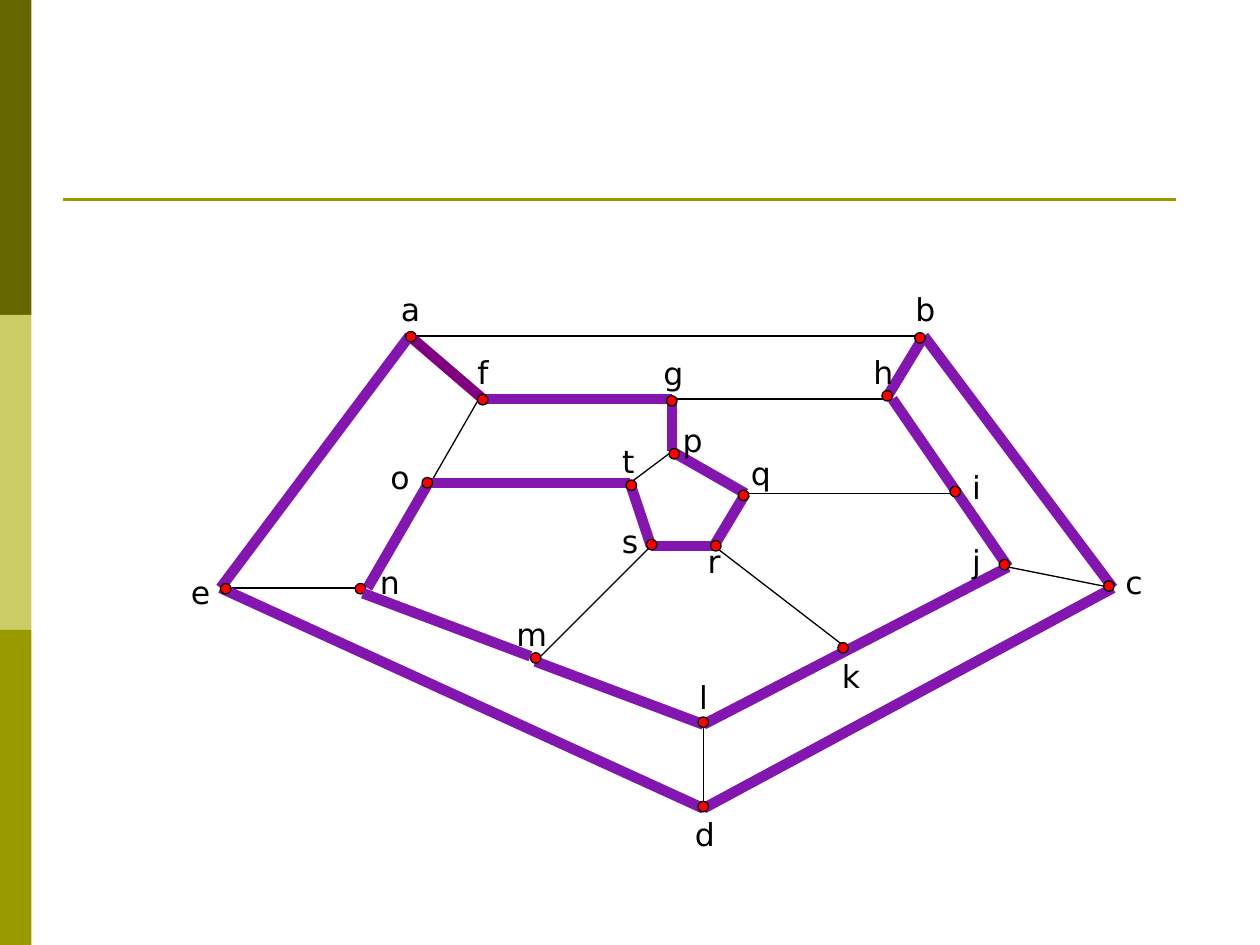
from dataclasses import dataclass

from lxml.etree import SubElement
from pptx import Presentation
from pptx.dml.color import RGBColor as Color
from pptx.enum.shapes import MSO_CONNECTOR as Connector
from pptx.enum.shapes import MSO_SHAPE as Preset
from pptx.enum.text import PP_ALIGN as Align
from pptx.oxml.ns import qn
from pptx.util import Pt


@dataclass(frozen=True)
class Theme:
    band_colors: tuple = ("666600", "CCCC66", "999900")
    rule: str = "999900"
    ink: str = "000000"
    cycle: str = "8416B0"
    closing: str = "800080"
    dot: str = "FF0000"
    font: str = "DejaVu Sans"
    label_size: float = 18
    thin: float = 0.75
    thick: float = 6
    rule_width: float = 1.5


class GraphSlide:
    def __init__(self, slide, theme):
        self.shapes = slide.shapes
        self.theme = theme

    def line(self, start, end, color, width):
        points = [Pt(value) for value in (*start, *end)]
        connector = self.shapes.add_connector(Connector.STRAIGHT, *points)
        connector.line.color.rgb = Color.from_string(color)
        connector.line.width = Pt(width)
        SubElement(connector._element.spPr, qn("a:effectLst"))

    def shape(self, preset, left, top, width, height, fill, outline=None):
        shape = self.shapes.add_shape(preset, Pt(left), Pt(top), Pt(width), Pt(height))
        shape.shadow.inherit = False
        shape.fill.solid()
        shape.fill.fore_color.rgb = Color.from_string(fill)
        if outline:
            shape.line.color.rgb = Color.from_string(outline)
            shape.line.width = Pt(self.theme.thin)
        else:
            shape.line.fill.background()

    def dot(self, center, size=6):
        x, y = center
        self.shape(Preset.OVAL, x - size / 2, y - size / 2, size, size,
                   self.theme.dot, self.theme.ink)

    def label(self, text, left, top, width):
        box = self.shapes.add_textbox(Pt(left), Pt(top), Pt(width), Pt(28.8))
        frame = box.text_frame
        frame.word_wrap = True
        frame.text = text
        paragraph = frame.paragraphs[0]
        paragraph.alignment = Align.CENTER
        font = paragraph.runs[0].font
        font.name = self.theme.font
        font.size = Pt(self.theme.label_size)
        font.color.rgb = Color.from_string(self.theme.ink)


# Vertex: where edges meet, centre of the dot, top left of the label
VERTICES = {
    "a": ((234, 192), (234.8, 192.4), (222, 162)),
    "b": ((528, 192), (525.7, 193.1), (516, 162)),
    "c": ((636, 336), (633.7, 334.9), (636, 318)),
    "d": ((402, 462), (401.9, 460.9), (390, 462)),
    "e": ((126, 336), (129, 336.4), (102, 324)),
    "f": ((276, 228), (275.9, 228.4), (264, 198)),
    "g": ((384, 228), (383.9, 229.1), (372, 198.6)),
    "h": ((510, 228), (507, 226.2), (492, 198)),
    "i": ((546, 282), (545.9, 280.9), (546, 264)),
    "j": ((576, 324), (574, 322.7), (546, 306)),
    "k": ((486, 372), (481.8, 370.2), (474, 372)),
    "l": ((402, 414), (401.9, 412.7), (390, 384)),
    "m": ((306, 378), (306.1, 376), (288, 348)),
    "n": ((210, 336), (206, 336.4), (210, 318)),
    "o": ((246, 276), (244.2, 275.9), (216, 258)),
    "p": ((384, 258), (385.3, 259.3), (383, 237)),
    "q": ((426, 282), (424.9, 283.1), (422, 256)),
    "r": ((408, 312), (409.1, 311.9), (396, 306)),
    "s": ((372, 312), (372.4, 311.2), (348, 295)),
    "t": ((360, 276), (360.8, 277.3), (347, 249)),
}
THIN_EDGES = "of gh ab en dl cj pt sm rk qi".split()
CYCLE_EDGES = "ot no fg ae bc ed dc bh ml lj hj ts sr rq pq pg".split()

# Edges that stop slightly beside a joint
SHIFTED_ENDS = {
    ("of", "f"): (273.6, 228),
    ("no", "o"): (244.8, 276),
    ("bh", "h"): (506.2, 228),
    ("en", "n"): (204, 336),
}


def draw_edge(graph, edge, color, width):
    start, end = (SHIFTED_ENDS.get((edge, name), VERTICES[name][0]) for name in edge)
    graph.line(start, end, color, width)


def main():
    theme = Theme()
    presentation = Presentation()
    presentation.slide_width, presentation.slide_height = Pt(720), Pt(540)
    slide = presentation.slides.add_slide(presentation.slide_layouts[6])
    graph = GraphSlide(slide, theme)

    # Side bands and rule
    for index, color in enumerate(theme.band_colors):
        graph.shape(Preset.RECTANGLE, 0, index * 180, 18, 180, color)
    graph.line((36, 114), (672, 114), theme.rule, theme.rule_width)

    # Edges, with the Hamiltonian cycle drawn thick
    for edge in THIN_EDGES:
        draw_edge(graph, edge, theme.ink, theme.thin)
    draw_edge(graph, "af", theme.closing, theme.thick)
    for edge in CYCLE_EDGES:
        draw_edge(graph, edge, theme.cycle, theme.thick)

    # Vertices and their names
    for joint, center, corner in VERTICES.values():
        graph.dot(center)
    for name, (joint, center, corner) in VERTICES.items():
        graph.label(name, *corner, width=30 if name == "m" else 24)

    # The n to m edge lies over the dots
    graph.line((207.4, 339), (303.1, 375), theme.cycle, theme.thick)

    presentation.save("out.pptx")


if __name__ == "__main__":
    main()
